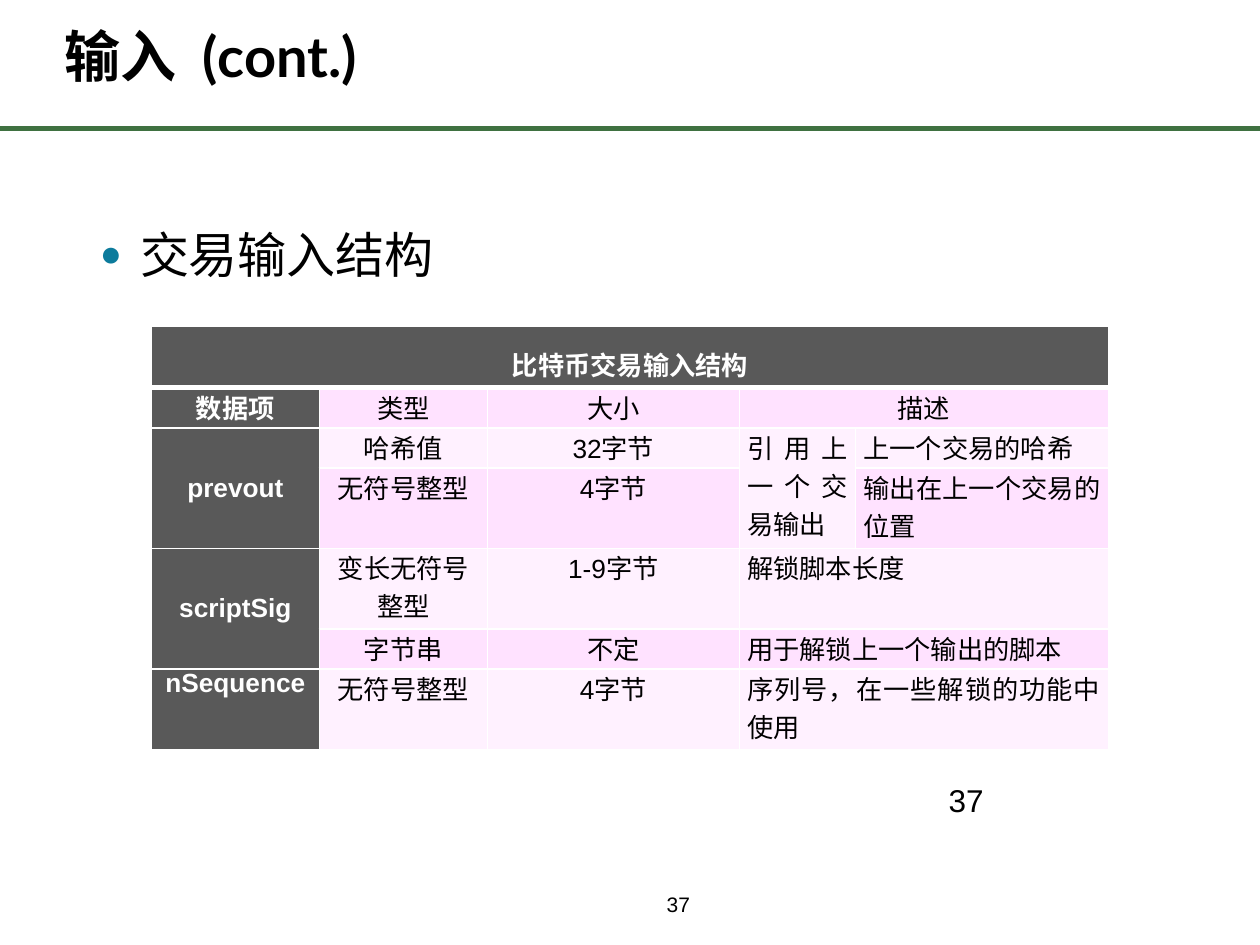
import dataclasses

import pptx
import pptx.dml.color
import pptx.enum.shapes
import pptx.enum.text
import pptx.oxml
import pptx.oxml.ns
import pptx.util

Pt = pptx.util.Pt
ALIGN = pptx.enum.text.PP_ALIGN
ANCHOR = pptx.enum.text.MSO_ANCHOR
NS = pptx.oxml.ns.nsdecls("a")


@dataclasses.dataclass(frozen=True)
class Theme:
    heading_font: str = "Lato"
    body_font: str = "Arial"
    ink: str = "000000"
    paper: str = "FFFFFF"
    rule: str = "3F7141"
    bullet: str = "0C7B9C"
    header: str = "595959"
    band_dark: str = "FFE2FF"
    band_light: str = "FFF1FF"
    title_size: int = 32
    body_size: int = 28
    number_size: int = 18
    table_size: int = 15
    footer_size: int = 12


def rgb(color):
    return pptx.dml.color.RGBColor.from_string(color)


class SlideBuilder:
    def __init__(self, prs, theme):
        self.theme = theme
        self.s = prs.slides.add_slide(prs.slide_layouts[6])

    def format_runs(self, p, size, color=None, bold=False, font=None):
        for r in p.runs:
            r.font.size = Pt(size)
            r.font.name = font or self.theme.body_font
            r.font.bold = bold
            r.font.color.rgb = rgb(color or self.theme.ink)

    def rule(self, y, width):
        line = self.s.shapes.add_connector(
            pptx.enum.shapes.MSO_CONNECTOR.STRAIGHT, 0, Pt(y), Pt(width), Pt(y))
        line.line.color.rgb = rgb(self.theme.rule)
        line.line.width = Pt(3)
        line._element.spPr.append(pptx.oxml.parse_xml(f"<a:effectLst {NS}/>"))

    def text(self, text, box, size, insets=(7.2, 3.6, 7.2, 3.6),
             anchor=ANCHOR.TOP, spacing=None, bullet=False, **style):
        sp = self.s.shapes.add_textbox(*map(Pt, box))
        tf = sp.text_frame
        tf.word_wrap = True
        tf.vertical_anchor = anchor
        tf.margin_left, tf.margin_top, tf.margin_right, tf.margin_bottom = map(Pt, insets)
        tf.text = text
        p = tf.paragraphs[0]
        if spacing:
            p.line_spacing = spacing
        if bullet:
            self.add_bullet(p)
        self.format_runs(p, size, **style)

    def add_bullet(self, p):
        p.space_after = Pt(4)
        pPr = p._p.get_or_add_pPr()
        pPr.set("marL", str(Pt(23)))
        pPr.set("indent", str(Pt(-23)))
        for xml in (f'<a:buClr {NS}><a:srgbClr val="{self.theme.bullet}"/></a:buClr>',
                    f'<a:buSzPct {NS} val="75000"/>',
                    f'<a:buFont {NS} typeface="Arial"/>',
                    f'<a:buChar {NS} char="●"/>'):
            pPr.append(pptx.oxml.parse_xml(xml))

    def borders(self, cell, top, bottom):
        tcPr = cell._tc.get_or_add_tcPr()
        for side, width in (("L", 1), ("R", 1), ("T", top), ("B", bottom)):
            tcPr.append(pptx.oxml.parse_xml(
                f'<a:ln{side} {NS} w="{Pt(width)}"><a:solidFill>'
                f'<a:srgbClr val="{self.theme.paper}"/></a:solidFill></a:ln{side}>'))

    def table(self, left, top, widths, heights, rows, merges):
        """Draw banded rows below a title row, with a dark first column."""
        t = self.theme
        table = self.s.shapes.add_table(
            len(heights), len(widths), Pt(left), Pt(top),
            Pt(sum(widths)), Pt(sum(heights))).table
        table.first_row = table.horz_banding = False
        for column, width in zip(table.columns, widths):
            column.width = Pt(width)
        for row, height in zip(table.rows, heights):
            row.height = Pt(height)
        for i, row in enumerate(rows):
            for j, text in enumerate(row):
                cell = table.cell(i, j)
                heading = i == 0 or j == 0
                self.borders(cell, top=3 if i == 1 else 1, bottom=3 if i == 0 else 1)
                # The cell that spans two rows keeps the colour of its first row.
                band = t.band_dark if i in (1, 3, 5) else t.band_light
                cell.fill.solid()
                cell.fill.fore_color.rgb = rgb(t.header if heading else band)
                cell.margin_left = cell.margin_right = Pt(4.5)
                cell.margin_top = cell.margin_bottom = 0
                cell.text_frame.text = text
                p = cell.text_frame.paragraphs[0]
                p.alignment = ALIGN.JUSTIFY if i > 1 and j > 2 else ALIGN.CENTER
                if i == 0:
                    p.line_spacing = 1.5
                self.format_runs(p, t.table_size, t.paper if heading else t.ink, heading)
        for first, last in merges:
            table.cell(*first).merge(table.cell(*last))
            if first[1] == 0 and last[0] > first[0]:
                table.cell(*first).vertical_anchor = ANCHOR.MIDDLE


INPUT_ROWS = [
    ("比特币交易输入结构", "", "", "", ""),
    ("数据项", "类型", "大小", "描述", ""),
    ("prevout", "哈希值", "32字节", "引用上一个交易输出", "上一个交易的哈希"),
    ("", "无符号整型", "4字节", "", "输出在上一个交易的位置"),
    ("scriptSig", "变长无符号整型", "1-9字节", "解锁脚本长度", ""),
    ("", "字节串", "不定", "用于解锁上一个输出的脚本", ""),
    ("nSequence", "无符号整型", "4字节", "序列号，在一些解锁的功能中使用", ""),
]
TITLE_MERGE = [((0, 0), (0, 4))]
ITEM_MERGES = [((2, 0), (3, 0)), ((4, 0), (5, 0)), ((2, 3), (3, 3))]
DESCRIPTION_MERGES = [((i, 3), (i, 4)) for i in (1, 4, 5, 6)]


def main():
    prs = pptx.Presentation()
    prs.slide_width, prs.slide_height = Pt(720), Pt(540)
    theme = Theme()
    slide = SlideBuilder(prs, theme)

    slide.rule(73.3, 720)
    slide.text("37", (30, 504, 659, 20), theme.footer_size, insets=(351, 0, 0, 0),
               anchor=ANCHOR.BOTTOM, spacing=Pt(20))
    slide.text("输入  (cont.)", (30, 12, 652, 42), theme.title_size, anchor=ANCHOR.BOTTOM,
               spacing=Pt(36), bold=True, font=theme.heading_font)
    slide.text("交易输入结构", (50, 118, 584, 48), theme.body_size, spacing=1.2, bullet=True)
    slide.text("37", (535, 443, 162, 22), theme.number_size)
    slide.table(86.5, 186.5, [96, 96, 144, 66.5, 144.5], [35, 23, 23, 46, 46, 23, 46],
                INPUT_ROWS, TITLE_MERGE + ITEM_MERGES + DESCRIPTION_MERGES)

    prs.save("out.pptx")


if __name__ == "__main__":
    main()
